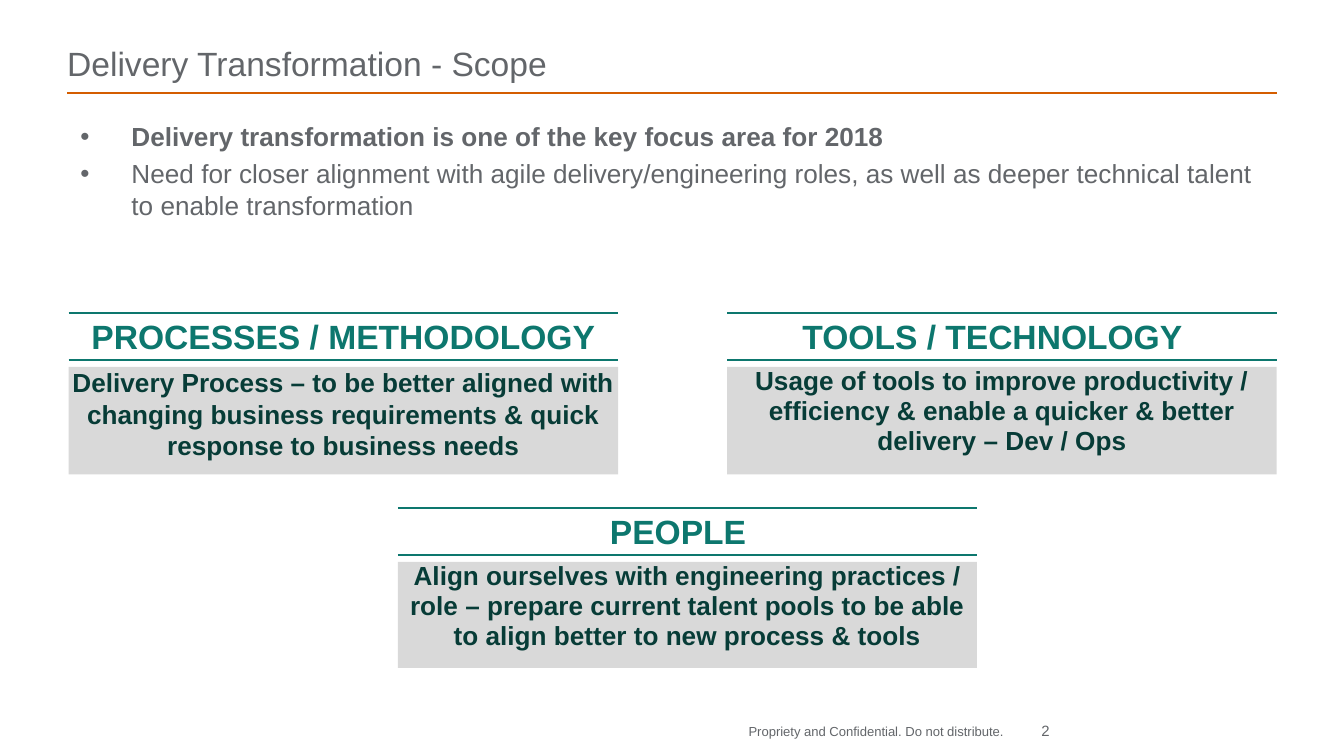
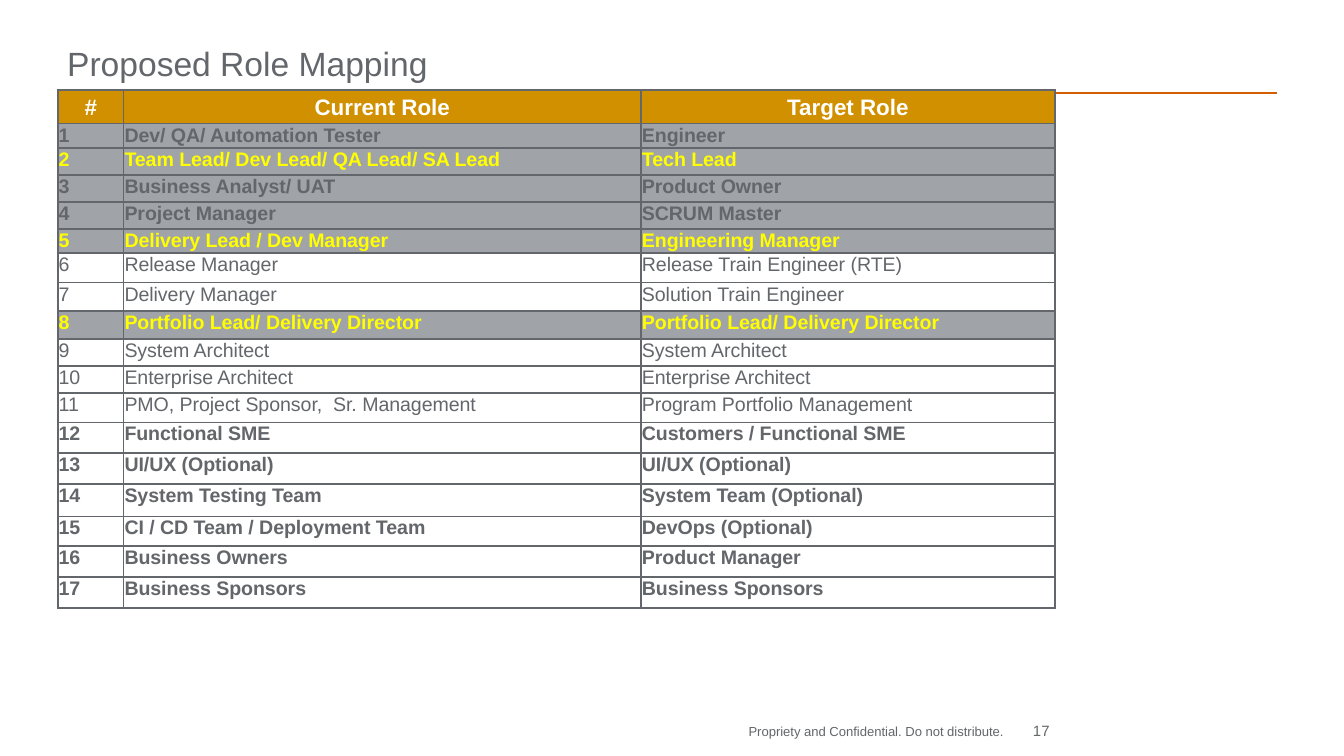
"""Build the delivery transformation scope and role mapping slides."""
import pptx
import pptx.util
import pptx.dml.color
import pptx.enum.shapes
import pptx.enum.text
import pptx.oxml.ns
import lxml.etree

PX = 9144
WIDE = 1000 * PX
FONT = "Arial"
HUES = {
    "text": "63666A", "rule": "D45D00", "teal": "0D776E", "deep": "073C37",
    "panel": "D9D9D9", "head": "D19000", "band": "A0A3A7",
    "mark": "FFFF00", "white": "FFFFFF",
}
ALIGN = pptx.enum.text.PP_ALIGN
ANCHOR = pptx.enum.text.MSO_ANCHOR

FOOTER = "Propriety and Confidential. Do not distribute."
POINTS = [
    ("Delivery transformation is one of the key focus area for 2018", True),
    ("Need for closer alignment with agile delivery/engineering roles, as well as "
     "deeper technical talent to enable transformation", False),
]
CARDS = [
    {"left": 541, "top": 233, "width": 409, "height": 80, "label": (553, 371),
     "pitch": 0.95, "name": "TOOLS / TECHNOLOGY",
     "body": "Usage of tools to improve productivity / efficiency & enable a "
             "quicker & better delivery – Dev / Ops"},
    {"left": 296, "top": 378, "width": 431, "height": 79, "label": (309, 391),
     "pitch": 0.95, "name": "PEOPLE",
     "body": "Align ourselves with engineering practices / role – prepare current "
             "talent pools to be able to align better to new process & tools"},
    {"left": 51, "top": 233, "width": 409, "height": 80, "label": (51, 409),
     "pitch": 1.0, "name": "PROCESSES / METHODOLOGY",
     "body": "Delivery Process – to be better aligned with changing business "
             "requirements & quick response to business needs"},
]
COLS = [49, 385, 308]
HEADS = ("#", "Current Role", "Target Role")
STYLES = {
    "head": ("head", "white", True), "band": ("band", "text", True),
    "mark": ("band", "mark", True), "plain": (None, "text", False),
    "bold": (None, "text", True),
}
ROLES = [
    ("Dev/ QA/ Automation Tester", "Engineer", "band", 17),
    ("Team Lead/ Dev Lead/ QA Lead/ SA Lead", "Tech Lead", "mark", 20),
    ("Business Analyst/ UAT", "Product Owner", "band", 20),
    ("Project Manager", "SCRUM Master", "band", 20),
    ("Delivery Lead / Dev Manager", "Engineering Manager", "mark", 17),
    ("Release Manager", "Release Train Engineer (RTE)", "plain", 22),
    ("Delivery Manager", "Solution Train Engineer", "plain", 21),
    ("Portfolio Lead/ Delivery Director", "Portfolio Lead/ Delivery Director", "mark", 21),
    ("System Architect", "System Architect", "plain", 20),
    ("Enterprise Architect", "Enterprise Architect", "plain", 20),
    ("PMO, Project Sponsor,  Sr. Management", "Program Portfolio Management", "plain", 22),
    ("Functional SME", "Customers / Functional SME", "bold", 23),
    ("UI/UX (Optional)", "UI/UX (Optional)", "bold", 23),
    ("System Testing Team", "System Team (Optional)", "bold", 24),
    ("CI / CD Team / Deployment Team", "DevOps (Optional)", "bold", 22),
    ("Business Owners", "Product Manager", "bold", 23),
    ("Business Sponsors", "Business Sponsors", "bold", 23),
]


def hue(key):
    return pptx.dml.color.RGBColor.from_string(HUES[key])


def scale(*sides):
    return [pptx.util.Emu(side * PX) for side in sides]


def style(para, size, color, bold=False, align=ALIGN.LEFT):
    para.alignment = align
    for run in para.runs:
        font = run.font
        font.name, font.size, font.bold = FONT, pptx.util.Pt(size), bold
        font.color.rgb = hue(color)


def write(shape, text, size, color, bold=False, align=ALIGN.LEFT,
          anchor=ANCHOR.TOP, wrap=True, pitch=None):
    frame = shape.text_frame
    frame.text = text
    frame.word_wrap = wrap
    frame.vertical_anchor = anchor
    frame.margin_left = frame.margin_right = 0
    frame.margin_top = frame.margin_bottom = 0
    para = frame.paragraphs[0]
    if pitch:
        para.line_spacing = pitch
    style(para, size, color, bold, align)


def draw_rule(shapes, left, top, width, color):
    rule = shapes.add_connector(
        pptx.enum.shapes.MSO_CONNECTOR.STRAIGHT,
        *scale(left, top, left + width, top))
    rule.line.color.rgb = hue(color)
    rule.line.width = pptx.util.Pt(1)
    lxml.etree.SubElement(rule._element.spPr, pptx.oxml.ns.qn("a:effectLst"))


def draw_box(shapes, left, top, width, height, fill=None, line=None):
    box = shapes.add_shape(pptx.enum.shapes.MSO_SHAPE.RECTANGLE,
                           *scale(left, top, width, height))
    box.shadow.inherit = False
    if fill:
        box.fill.solid()
        box.fill.fore_color.rgb = hue(fill)
    else:
        box.fill.background()
    if line:
        box.line.color.rgb = hue(line)
        box.line.width = pptx.util.Pt(1)
    else:
        box.line.fill.background()
    return box


def start(deck, title, number):
    slide = deck.slides.add_slide(deck.slide_layouts[6])
    shapes = slide.shapes
    draw_rule(shapes, 50, 69, 900, "rule")
    write(shapes.add_textbox(*scale(557, 538, 208, 19)), FOOTER, 7, "text", wrap=False)
    write(shapes.add_textbox(*scale(50, 12, 900, 50)), title, 18, "text",
          anchor=ANCHOR.BOTTOM)
    write(shapes.add_textbox(*scale(748, 537, 33, 12)), str(number), 8, "text",
          align=ALIGN.RIGHT)
    return shapes


def draw_card(shapes, card):
    group = shapes.add_group_shape().shapes
    left, top, width = card["left"], card["top"], card["width"]
    body = draw_box(group, left, top + 40, width, card["height"], fill="panel")
    write(body, card["body"], 14, "deep", True, ALIGN.CENTER, pitch=card["pitch"])
    for drop in (0, 35):
        draw_rule(group, left, top + drop, width, "teal")
    edge_x, span = card["label"]
    label = draw_box(group, edge_x, top + 5, span, 27, line="white")
    write(label, card["name"], 18, "teal", True, ALIGN.CENTER, ANCHOR.MIDDLE, pitch=0.95)


def draw_points(shapes):
    frame = shapes.add_textbox(*scale(50, 85, 900, 126)).text_frame
    frame.word_wrap = True
    for index, (text, bold) in enumerate(POINTS):
        para = frame.add_paragraph() if index else frame.paragraphs[0]
        para.text = text
        props = para._p.get_or_add_pPr()
        props.set("marL", str(38 * PX))
        props.set("indent", str(-38 * PX))
        if index:
            para.space_before = pptx.util.Pt(3)
        for tag, key, value in (("a:buFont", "typeface", FONT), ("a:buChar", "char", "•")):
            lxml.etree.SubElement(props, pptx.oxml.ns.qn(tag)).set(key, value)
        style(para, 14, "text", bold)


def edge(cell):
    props = cell._tc.get_or_add_tcPr()
    for place, side in enumerate(("lnL", "lnR", "lnT", "lnB")):
        line = lxml.etree.Element(pptx.oxml.ns.qn("a:" + side), w="12700")
        fill = lxml.etree.SubElement(line, pptx.oxml.ns.qn("a:solidFill"))
        lxml.etree.SubElement(fill, pptx.oxml.ns.qn("a:srgbClr"), val=HUES["text"])
        props.insert(place, line)


def fill_cell(cell, text, kind):
    fill, color, bold = STYLES[kind]
    head = kind == "head"
    cell.text = text
    cell.margin_left = cell.margin_right = cell.margin_top = pptx.util.Pt(0.5)
    cell.margin_bottom = 0
    cell.vertical_anchor = ANCHOR.MIDDLE if head else ANCHOR.TOP
    style(cell.text_frame.paragraphs[0], 12 if head else 10.5, color, bold,
          ALIGN.CENTER if head else ALIGN.LEFT)
    if fill:
        cell.fill.solid()
        cell.fill.fore_color.rgb = hue(fill)
    else:
        cell.fill.background()
    edge(cell)


def draw_roles(shapes):
    rows = [(HEADS, "head", 25)]
    for number, (now, goal, kind, height) in enumerate(ROLES, 1):
        rows.append(((str(number), now, goal), kind, height))
    total = sum(height for _, _, height in rows)
    table = shapes.add_table(len(rows), len(COLS),
                             *scale(43, 67, sum(COLS), total)).table
    table.first_row = table.horz_banding = False
    for col, width in zip(table.columns, COLS):
        col.width = scale(width)[0]
    for row, (texts, kind, height) in zip(table.rows, rows):
        row.height = scale(height)[0]
        for cell, text in zip(row.cells, texts):
            fill_cell(cell, text, kind)


def main():
    deck = pptx.Presentation()
    deck.slide_width = pptx.util.Emu(WIDE)
    deck.slide_height = pptx.util.Emu(WIDE * 9 // 16)
    scope = start(deck, "Delivery Transformation - Scope", 2)
    for card in CARDS:
        draw_card(scope, card)
    draw_points(scope)
    draw_roles(start(deck, "Proposed Role Mapping", 17))
    deck.save("out.pptx")


if __name__ == "__main__":
    main()
